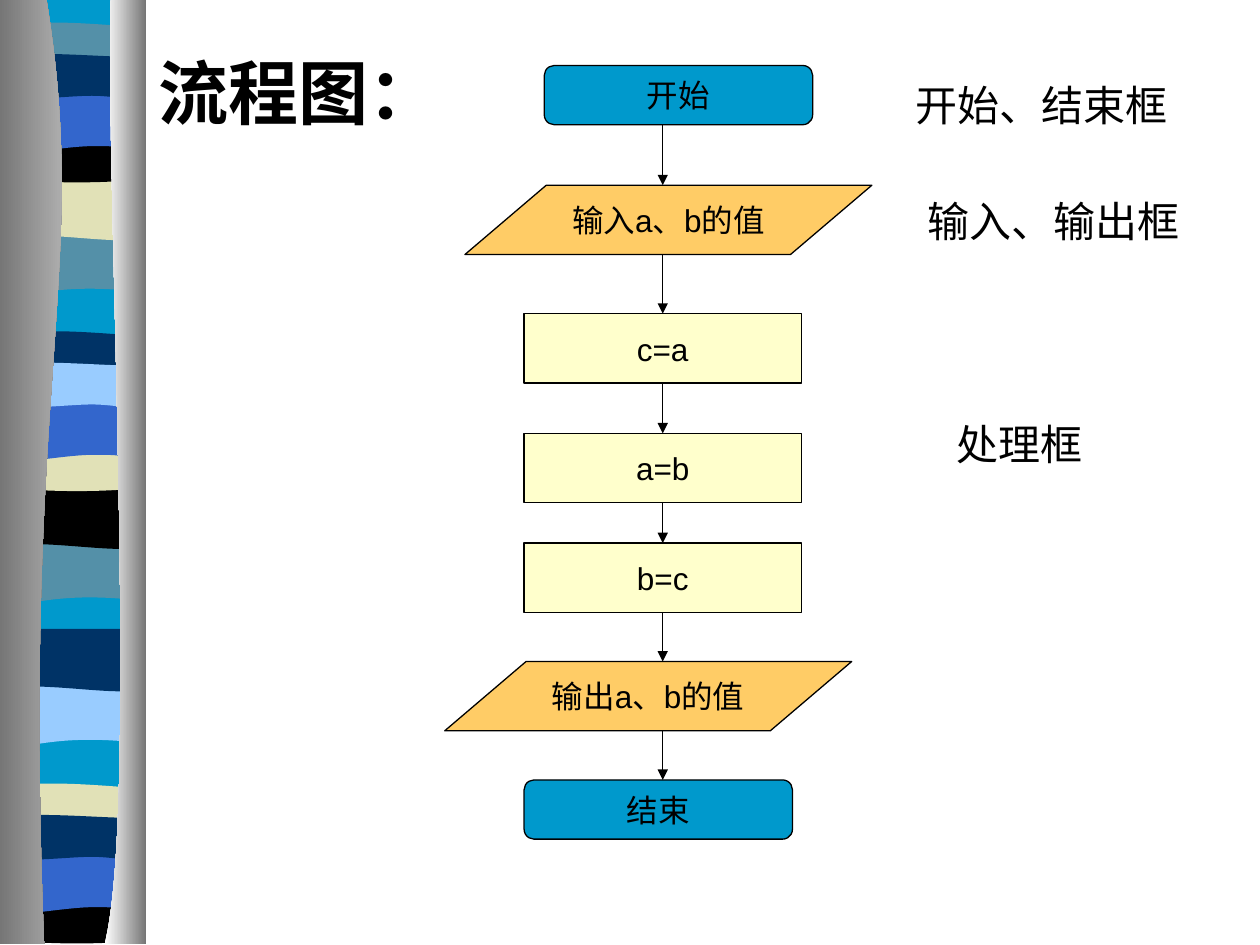
from pptx import Presentation
from pptx.util import Inches, Pt
from pptx.dml.color import RGBColor
from pptx.enum.shapes import MSO_CONNECTOR, MSO_SHAPE as SHP
from pptx.enum.text import MSO_ANCHOR, PP_ALIGN
from pptx.oxml.ns import qn
from lxml.etree import SubElement

BLACK = RGBColor(0x00, 0x00, 0x00)
WHITE = RGBColor(0xFF, 0xFF, 0xFF)
GREY = RGBColor(0x76, 0x76, 0x76)
SILVER = RGBColor(0xC8, 0xC8, 0xC8)
CYAN = RGBColor(0x00, 0x99, 0xCC)
TEAL = RGBColor(0x54, 0x90, 0xA8)
SAND = RGBColor(0xE1, 0xE1, 0xB7)
BLUE = RGBColor(0x33, 0x66, 0xCC)
NAVY = RGBColor(0x00, 0x33, 0x66)
SKY = RGBColor(0x99, 0xCC, 0xFF)
ORANGE = RGBColor(0xFF, 0xCC, 0x66)
CREAM = RGBColor(0xFF, 0xFF, 0xCC)

prs = Presentation()
prs.slide_width, prs.slide_height = Inches(10), Inches(7.5)
slide = prs.slides.add_slide(prs.slide_layouts[6])
shapes = slide.shapes


def write(s, text, size=18, font="Arial", bold=False, align=PP_ALIGN.LEFT,
          anchor=MSO_ANCHOR.TOP, wrap=False):
    tf = s.text_frame
    tf.word_wrap = wrap
    tf.vertical_anchor = anchor
    p = tf.paragraphs[0]
    p.alignment = align
    r = p.add_run()
    r.text = text
    r.font.size, r.font.name, r.font.bold = Pt(size), font, bold
    r.font.color.rgb = BLACK


def outline(start, segments, dy=0):
    pts = [start]
    for seg in segments:
        pts += zip(seg[::2], seg[1::2])
    pts = [(Inches(x), Inches(y + dy)) for x, y in pts]
    fb = shapes.build_freeform(*pts[0])
    fb.add_line_segments(pts[1:], close=True)
    s = fb.convert_to_shape()
    lines = iter(list(s._element.iter(qn("a:lnTo"))))
    for seg in segments:
        first = next(lines)
        if len(seg) == 6:
            curve = first.getparent().makeelement(qn("a:cubicBezTo"))
            first.addprevious(curve)
            for line in (first, next(lines), next(lines)):
                curve.append(line[0])
                line.getparent().remove(line)
    s.shadow.inherit = False
    s.line.fill.background()
    return s


L, R = 0.05, 1.15
s = outline((R, 0), [(R, 7.47), (L, 7.47), (L, 0)])
s.fill.solid()
s.fill.fore_color.rgb = CYAN

bands = [
    ((R, 1.85), [(R, 2.32), (0.39, 2.23, 0.24, 2.39, L, 2.32), (L, 1.85)]),
    ((R, 1.41), [(R, 1.88), (0.98, 1.96, 0.4, 1.83, L, 1.88), (L, 1.41)]),
    ((R, 0.22), [(R, 0.46), (0.97, 0.5, 0.24, 0.5, L, 0.46), (L, 0.22),
                 (0.12, 0.17, 0.29, 0.18, 0.47, 0.18),
                 (0.66, 0.18, 1.01, 0.21, R, 0.22)]),
    ((R, 1.08), [(R, 1.41), (0.98, 1.46, 0.25, 1.46, L, 1.41), (L, 1.08),
                 (0.74, 1.13, 0.93, 1.08, R, 1.08)]),
    ((R, 0.75), [(R, 1.22), (0.99, 1.16, 0.92, 1.16, 0.74, 1.16),
                 (0.55, 1.16, 0.23, 1.22, L, 1.22), (L, 0.75)]),
    ((R, 0.45), [(R, 0.76), (1.08, 0.81, 0.91, 0.76, 0.73, 0.76),
                 (0.54, 0.76, 0.17, 0.81, L, 0.76), (L, 0.45),
                 (0.21, 0.4, 0.8, 0.45, 0.98, 0.45),
                 (1.16, 0.45, 1.11, 0.45, R, 0.45)]),
]
rounds = [
    (0, 0, [TEAL, SAND, TEAL, BLACK, BLUE, NAVY]),
    (2.45, 2.45, [TEAL, BLACK, NAVY, SAND, BLUE, SKY]),
    (3.58, 6.04, [SKY, NAVY, SAND, BLACK, BLUE, NAVY]),
]
for wide_dy, thin_dy, colors in rounds:
    for i, ((start, segments), color) in enumerate(zip(bands, colors)):
        s = outline(start, segments, wide_dy if i < 2 else thin_dy)
        s.fill.solid()
        s.fill.fore_color.rgb = color

edges = [
    ((0.37, 0), [(0.72, 2.17, 0.17, 2.96, 0.35, 7.49), (0, 7.49), (0, 0)], GREY, SILVER),
    ((0.88, 0), [(0.83, 1.25, 1.11, 6.47, 0.83, 7.49), (1.16, 7.49), (1.16, 0)], WHITE, GREY),
]
for start, segments, first, last in edges:
    s = outline(start, segments)
    s.fill.gradient()
    s.fill.gradient_angle = 0
    for stop, color, pos in zip(s.fill.gradient_stops, (first, last), (0, 1)):
        stop.color.rgb = color
        stop.position = pos

TERMINAL = (SHP.FLOWCHART_ALTERNATE_PROCESS, 2.13, 0.47, CYAN)
DATA = (SHP.FLOWCHART_DATA, 3.23, 0.55, ORANGE)
PROCESS = (SHP.FLOWCHART_PROCESS, 2.2, 0.55, CREAM)
steps = [
    ("开始", TERMINAL, 4.32, 0.52),
    ("输入a、b的值", DATA, 3.69, 1.47),
    ("c=a", PROCESS, 4.16, 2.49),
    ("a=b", PROCESS, 4.16, 3.44),
    ("b=c", PROCESS, 4.16, 4.31),
    ("输出a、b的值", DATA, 3.53, 5.25),
    ("结束", TERMINAL, 4.16, 6.19),
]
nodes = []
for text, (kind, w, h, color), x, y in steps:
    s = shapes.add_shape(kind, Inches(x), Inches(y), Inches(w), Inches(h))
    s.shadow.inherit = False
    s.fill.solid()
    s.fill.fore_color.rgb = color
    s.line.color.rgb = BLACK
    s.line.width = Pt(0.75)
    write(s, text, align=PP_ALIGN.CENTER, anchor=MSO_ANCHOR.MIDDLE)
    nodes.append(s)

AXIS = Inches(5.26)
for a, b in zip(nodes, nodes[1:]):
    c = shapes.add_connector(MSO_CONNECTOR.STRAIGHT, AXIS, a.top + a.height, AXIS, b.top)
    if a.auto_shape_type == SHP.FLOWCHART_PROCESS:
        c.begin_connect(a, 2)
    if b.auto_shape_type == SHP.FLOWCHART_PROCESS:
        c.end_connect(b, 0)
    c.line.color.rgb = BLACK
    c.line.width = Pt(0.75)
    SubElement(c.line._get_or_add_ln(), qn("a:tailEnd"), type="triangle")
    SubElement(c._element.spPr, qn("a:effectLst"))

s = shapes.add_textbox(Inches(1.16), Inches(0.34), Inches(2.68), Inches(0.77))
write(s, "流程图：", size=40, bold=True, wrap=True)

labels = [
    ("开始、结束框", 7.17, 0.58, 2.2),
    ("输入、输出框", 7.26, 1.5, 2.2),
    ("处理框", 7.49, 3.27, 1.2),
]
for text, x, y, w in labels:
    s = shapes.add_textbox(Inches(x), Inches(y), Inches(w), Inches(0.5))
    write(s, text, size=24, font="Times New Roman")

prs.save("out.pptx")
